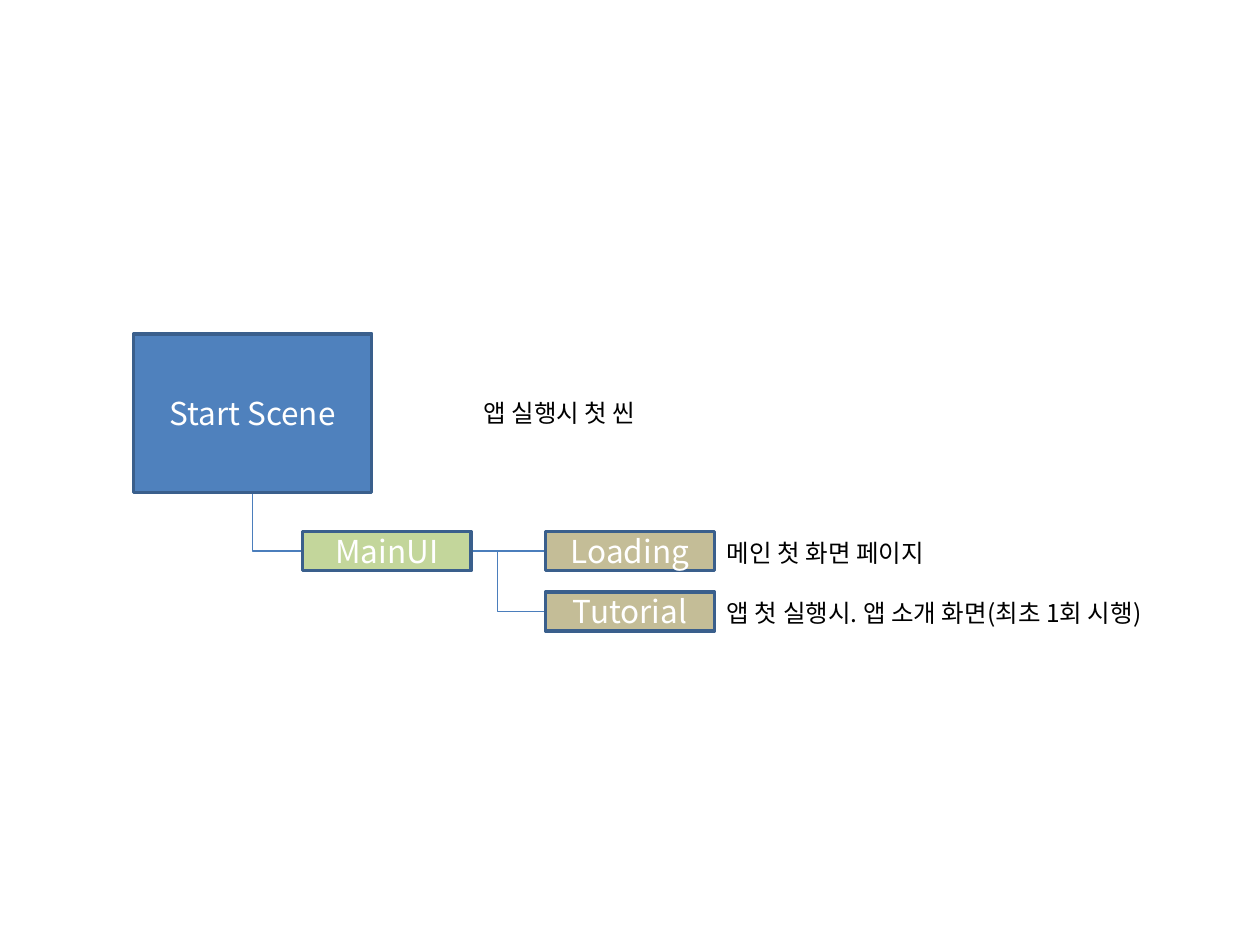
from dataclasses import dataclass

from lxml import etree
from pptx import Presentation
from pptx.dml.color import RGBColor
from pptx.enum.shapes import MSO_CONNECTOR, MSO_SHAPE
from pptx.enum.text import MSO_ANCHOR, PP_ALIGN
from pptx.oxml.ns import qn
from pptx.util import Pt

RECTANGLE = MSO_SHAPE.RECTANGLE
STRAIGHT, ELBOW = MSO_CONNECTOR.STRAIGHT, MSO_CONNECTOR.ELBOW
MIDDLE, CENTER, LEFT = MSO_ANCHOR.MIDDLE, PP_ALIGN.CENTER, PP_ALIGN.LEFT


@dataclass(frozen=True)
class Theme:
    font: str = "Noto Sans CJK KR"
    node_size: int = 18
    note_size: int = 14
    scene: str = "4F81BD"
    screen: str = "C3D69B"
    page: str = "C4BD97"
    border: str = "3A5F8C"
    link: str = "4B7EBC"
    node_text: str = "FFFFFF"
    note_text: str = "000000"


THEME = Theme()


def write(shape, text, size, color, align):
    paragraph = shape.text_frame.paragraphs[0]
    paragraph.text = text
    paragraph.alignment = align
    for run in paragraph.runs:
        run.font.size = Pt(size)
        run.font.color.rgb = RGBColor.from_string(color)
        run.font.name = THEME.font
        east_asian = etree.SubElement(run.font._element, qn("a:ea"))
        east_asian.set("typeface", THEME.font)


def add_node(slide, text, box, fill):
    node = slide.shapes.add_shape(RECTANGLE, *map(Pt, box))
    node.shadow.inherit = False
    node.fill.solid()
    node.fill.fore_color.rgb = RGBColor.from_string(fill)
    node.line.color.rgb = RGBColor.from_string(THEME.border)
    node.line.width = Pt(2)
    node.text_frame.vertical_anchor = MIDDLE
    write(node, text, THEME.node_size, THEME.node_text, CENTER)


def add_note(slide, text, left, top, width):
    note = slide.shapes.add_textbox(Pt(left), Pt(top), Pt(width), Pt(24.5))
    note.text_frame.word_wrap = True
    write(note, text, THEME.note_size, THEME.note_text, LEFT)


def add_link(slide, kind, start, end):
    link = slide.shapes.add_connector(kind, *map(Pt, start + end))
    link.line.color.rgb = RGBColor.from_string(THEME.link)
    link.line.width = Pt(0.75)
    properties = link._element.spPr
    etree.SubElement(properties, qn("a:effectLst"))
    if kind == ELBOW:
        # Put the bend at the far end, so the link has a single corner
        adjustments = properties.find(qn("a:prstGeom")).find(qn("a:avLst"))
        bend = etree.SubElement(adjustments, qn("a:gd"))
        bend.set("name", "adj1")
        bend.set("fmla", "val 100000")


def add_scene_tree(slide, left, top):
    scene_width, scene_height = 136.1, 90.7
    node_width, node_height = 96.5, 22.3
    main_left, main_top = left + 96.5, top + 113
    main_right = main_left + node_width
    page_left = main_right + 42.5
    note_left = page_left + node_width
    row_pitch = 34.4
    main_middle = main_top + node_height / 2
    scene_center = left + scene_width / 2
    branch_left = main_right + 15

    # Links
    add_link(slide, ELBOW, (main_left, main_middle),
             (scene_center, top + scene_height))
    add_link(slide, STRAIGHT, (main_right, main_middle),
             (page_left, main_middle))
    add_link(slide, ELBOW, (page_left, main_middle + row_pitch),
             (branch_left, main_middle))

    # Scene and its main screen
    add_node(slide, "Start Scene", (left, top, scene_width, scene_height),
             THEME.scene)
    add_note(slide, "앱 실행시 첫 씬", main_right, top + 33.1, 249)
    add_node(slide, "MainUI", (main_left, main_top, node_width, node_height),
             THEME.screen)

    # Pages of the main screen
    pages = [
        ("Loading", "메인 첫 화면 페이지", 249),
        ("Tutorial", "앱 첫 실행시. 앱 소개 화면(최초 1회 시행)", 300),
    ]
    for row, (page, note, note_width) in enumerate(pages):
        page_top = main_top + row * row_pitch
        add_node(slide, page, (page_left, page_top, node_width, node_height),
                 THEME.page)
        add_note(slide, note, note_left, page_top, note_width)


presentation = Presentation()
presentation.slide_width, presentation.slide_height = Pt(720), Pt(540)
scene_slide = presentation.slides.add_slide(presentation.slide_layouts[6])
add_scene_tree(scene_slide, 76.3, 190.8)
presentation.save("out.pptx")
